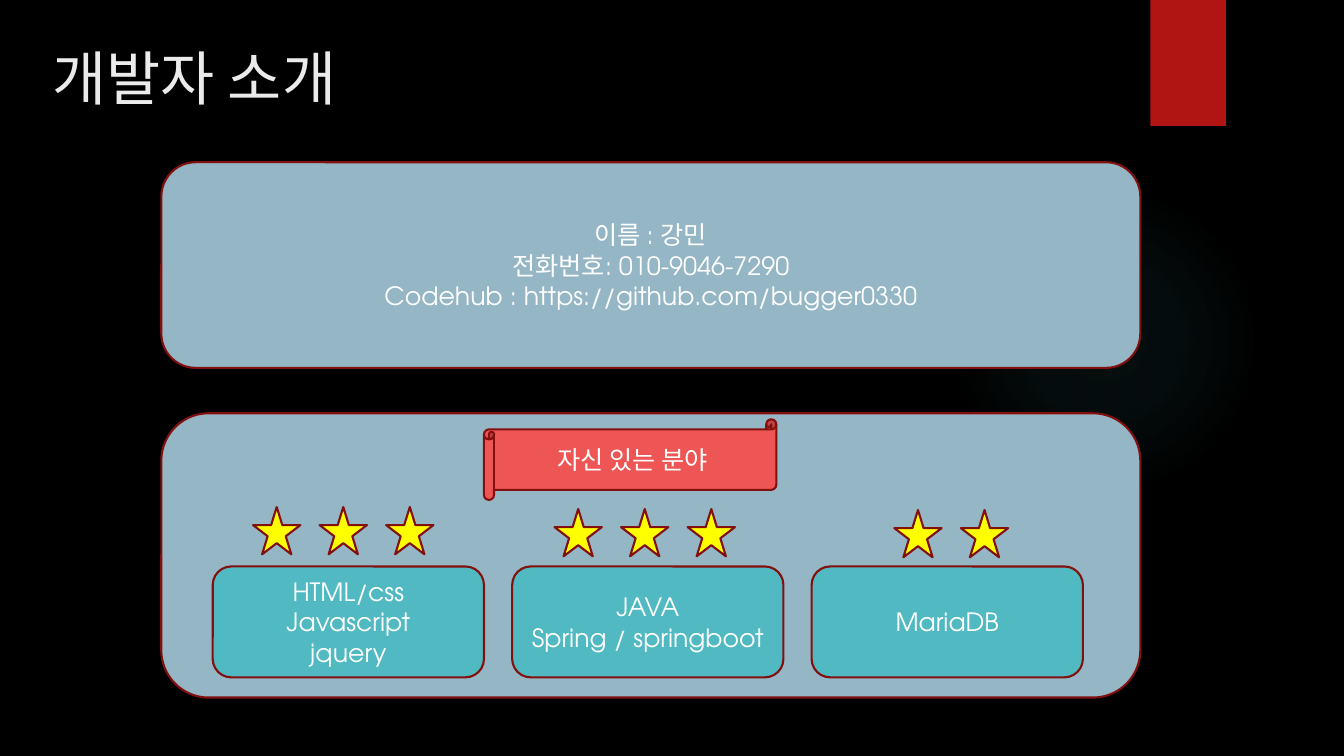
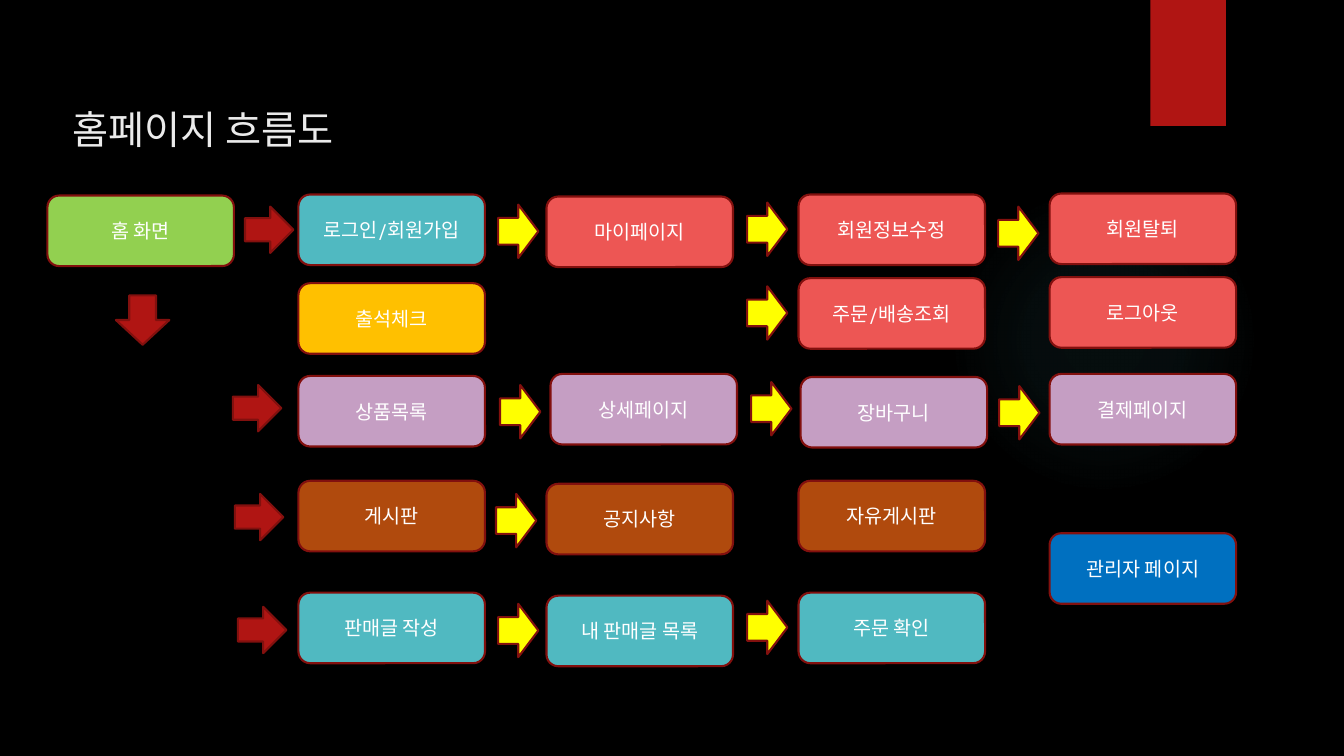
from dataclasses import dataclass

from lxml import etree
from pptx import Presentation
from pptx.dml.color import RGBColor
from pptx.enum.shapes import MSO_SHAPE
from pptx.enum.text import MSO_ANCHOR, MSO_AUTO_SIZE, PP_ALIGN
from pptx.oxml import parse_xml
from pptx.shapes.autoshape import Shape
from pptx.slide import Slide
from pptx.text.text import TextFrame
from pptx.util import Inches, Pt

RECT, ROUND_RECT, ELLIPSE = MSO_SHAPE.RECTANGLE, MSO_SHAPE.ROUNDED_RECTANGLE, MSO_SHAPE.OVAL
STAR, SCROLL = MSO_SHAPE.STAR_5_POINT, MSO_SHAPE.HORIZONTAL_SCROLL
RIGHT, DOWN = MSO_SHAPE.RIGHT_ARROW, MSO_SHAPE.DOWN_ARROW
LEFT_ALIGN, CENTER = PP_ALIGN.LEFT, PP_ALIGN.CENTER
TOP, MIDDLE = MSO_ANCHOR.TOP, MSO_ANCHOR.MIDDLE

FONT = "TeX Gyre Adventor"
BLACK, WHITE, TITLE_GREY = "000000", "FFFFFF", "EBEBEB"
RED, OUTLINE, CORAL = "B01513", "82100E", "ED5654"
TEAL, STEEL, YELLOW = "50B9C1", "95B6C5", "FFFF00"
GREEN, AMBER, MAUVE, BROWN, BLUE = "92D050", "FFC000", "C59EC3", "B04A0D", "0070C0"

DRAWING_NS = "http://schemas.openxmlformats.org/drawingml/2006/main"
GLOW_STOPS = [(0, 7), (36, 6), (69, 0)]  # position and opacity, in percent


@dataclass(frozen=True)
class Box:
    left: float
    top: float
    width: float
    height: float


@dataclass(frozen=True)
class Skill:
    text: str
    left: float
    stars: int
    star_left: float
    star_top: float


@dataclass(frozen=True)
class Page:
    label: str
    left: float
    top: float
    color: str


SKILLS = [
    Skill("HTML/css\nJavascript\njquery", 2.11, 3, 2.51, 5.03),
    Skill("JAVA\nSpring / springboot", 5.08, 3, 5.5, 5.05),
    Skill("MariaDB", 8.05, 2, 8.87, 5.06),
]
STAR_SIZE, STAR_STEP = 0.47, 0.66

COLUMNS = [2.96, 5.42, 7.92, 10.41]
PAGES = [
    Page("홈 화면", 0.47, 1.94, GREEN),
    Page("로그인/회원가입", COLUMNS[0], 1.93, TEAL),
    Page("마이페이지", COLUMNS[1], 1.95, CORAL),
    Page("회원정보수정", COLUMNS[2], 1.93, CORAL),
    Page("회원탈퇴", COLUMNS[3], 1.92, CORAL),
    Page("출석체크", COLUMNS[0], 2.81, AMBER),
    Page("주문/배송조회", COLUMNS[2], 2.76, CORAL),
    Page("로그아웃", COLUMNS[3], 2.75, CORAL),
    Page("상품목록", COLUMNS[0], 3.73, MAUVE),
    Page("상세페이지", 5.46, 3.71, MAUVE),
    Page("장바구니", 7.94, 3.74, MAUVE),
    Page("결제페이지", COLUMNS[3], 3.71, MAUVE),
    Page("게시판", COLUMNS[0], 4.77, BROWN),
    Page("공지사항", COLUMNS[1], 4.8, BROWN),
    Page("자유게시판", COLUMNS[2], 4.77, BROWN),
    Page("판매글 작성", COLUMNS[0], 5.88, TEAL),
    Page("내 판매글 목록", COLUMNS[1], 5.91, TEAL),
    Page("주문 확인", COLUMNS[2], 5.88, TEAL),
    Page("관리자 페이지", COLUMNS[3], 5.29, BLUE),
]
# Left and top of each arrow
STEP_ARROWS = [
    (4.94, 2.03), (7.41, 2.01), (9.9, 2.05),
    (7.41, 2.84),
    (4.96, 3.82), (7.45, 3.79), (9.91, 3.83),
    (4.92, 4.9),
    (4.94, 5.99), (7.41, 5.96),
]
MENU_ARROWS = [(2.43, 2.05), (2.31, 3.82), (2.33, 4.9), (2.36, 6.02)]


def rgb(color: str) -> RGBColor:
    return RGBColor.from_string(color)


def write(frame: TextFrame, text: str, *, size: float, color: str = WHITE,
          align: PP_ALIGN = CENTER, anchor: MSO_ANCHOR = MIDDLE) -> None:
    """Fill a frame with one paragraph per line of text."""
    frame.text = text
    frame.word_wrap = True
    frame.auto_size = MSO_AUTO_SIZE.NONE
    frame.vertical_anchor = anchor
    for paragraph in frame.paragraphs:
        paragraph.alignment = align
        paragraph.font.name = FONT
        paragraph.font.size = Pt(size)
        paragraph.font.color.rgb = rgb(color)


def draw(slide: Slide, kind: MSO_SHAPE, box: Box, fill: str, *,
         outline: str | None = OUTLINE, text: str = "", size: float = 18) -> Shape:
    shape = slide.shapes.add_shape(kind, Inches(box.left), Inches(box.top),
                                   Inches(box.width), Inches(box.height))
    shape.shadow.inherit = False
    shape.fill.solid()
    shape.fill.fore_color.rgb = rgb(fill)
    if outline:
        shape.line.color.rgb = rgb(outline)
        shape.line.width = Pt(1.5)
    else:
        shape.line.fill.background()
    if text:
        write(shape.text_frame, text, size=size)
    return shape


def add_glow(slide: Slide) -> None:
    """Draw the faint round light, which fades out from its centre."""
    glow = draw(slide, ELLIPSE, Box(9.41, 1.83, 3.08, 3.08), TEAL, outline=None)
    stops = "".join(
        f'<a:gs pos="{position * 1000}"><a:srgbClr val="{TEAL}">'
        f'<a:alpha val="{opacity * 1000}"/></a:srgbClr></a:gs>'
        for position, opacity in GLOW_STOPS)
    gradient = parse_xml(
        f'<a:gradFill xmlns:a="{DRAWING_NS}" rotWithShape="1"><a:gsLst>{stops}</a:gsLst>'
        '<a:path path="circle"><a:fillToRect l="50000" t="50000" r="50000" b="50000"/>'
        '</a:path></a:gradFill>')
    properties = glow.element.spPr
    solid = properties.find(etree.QName(DRAWING_NS, "solidFill").text)
    properties.replace(solid, gradient)


def new_slide(prs: Presentation, title: str, box: Box, size: float) -> Slide:
    """Start a slide with the shared glow, red tab and title style."""
    slide = prs.slides.add_slide(prs.slide_layouts[5])
    add_glow(slide)
    draw(slide, RECT, Box(11.41, 0, 0.75, 1.25), RED, outline=None)
    heading = slide.shapes.title
    heading.left, heading.top = Inches(box.left), Inches(box.top)
    heading.width, heading.height = Inches(box.width), Inches(box.height)
    write(heading.text_frame, title, size=size, color=TITLE_GREY,
          align=LEFT_ALIGN, anchor=TOP)
    return slide


def build_developer(prs: Presentation) -> None:
    slide = new_slide(prs, "개발자 소개", Box(0.42, 0.36, 3.39, 0.81), 42)
    # Contact panel
    contact = ("이름 : 강민\n전화번호: 010-9046-7290\n"
               "Codehub : https://github.com/bugger0330")
    draw(slide, ROUND_RECT, Box(1.6, 1.61, 9.71, 2.04), STEEL, text=contact)
    # Skills panel
    draw(slide, ROUND_RECT, Box(1.6, 4.1, 9.71, 2.82), STEEL)
    draw(slide, SCROLL, Box(4.8, 4.16, 2.9, 0.8), CORAL, text="자신 있는 분야")
    for skill in SKILLS:
        draw(slide, ROUND_RECT, Box(skill.left, 5.62, 2.69, 1.1), TEAL, text=skill.text)
        for index in range(skill.stars):
            left = skill.star_left + index * STAR_STEP
            draw(slide, STAR, Box(left, skill.star_top, STAR_SIZE, STAR_SIZE), YELLOW)


def build_site_flow(prs: Presentation) -> None:
    slide = new_slide(prs, "홈페이지 흐름도", Box(0.62, 0.99, 3.33, 1.18), 28)
    # Pages
    for page in PAGES:
        draw(slide, ROUND_RECT, Box(page.left, page.top, 1.85, 0.7), page.color,
             text=page.label, size=14)
    # Arrows between pages, then from the home page to each menu
    for left, top in STEP_ARROWS:
        draw(slide, RIGHT, Box(left, top, 0.4, 0.53), YELLOW)
    for left, top in MENU_ARROWS:
        draw(slide, RIGHT, Box(left, top, 0.48, 0.46), RED)
    draw(slide, DOWN, Box(1.15, 2.93, 0.53, 0.49), RED)


def main() -> None:
    prs = Presentation()
    prs.slide_width, prs.slide_height = Inches(13.33), Inches(7.5)
    backdrop = prs.slide_master.background.fill
    backdrop.solid()
    backdrop.fore_color.rgb = rgb(BLACK)
    build_developer(prs)
    build_site_flow(prs)
    prs.save("out.pptx")


if __name__ == "__main__":
    main()
